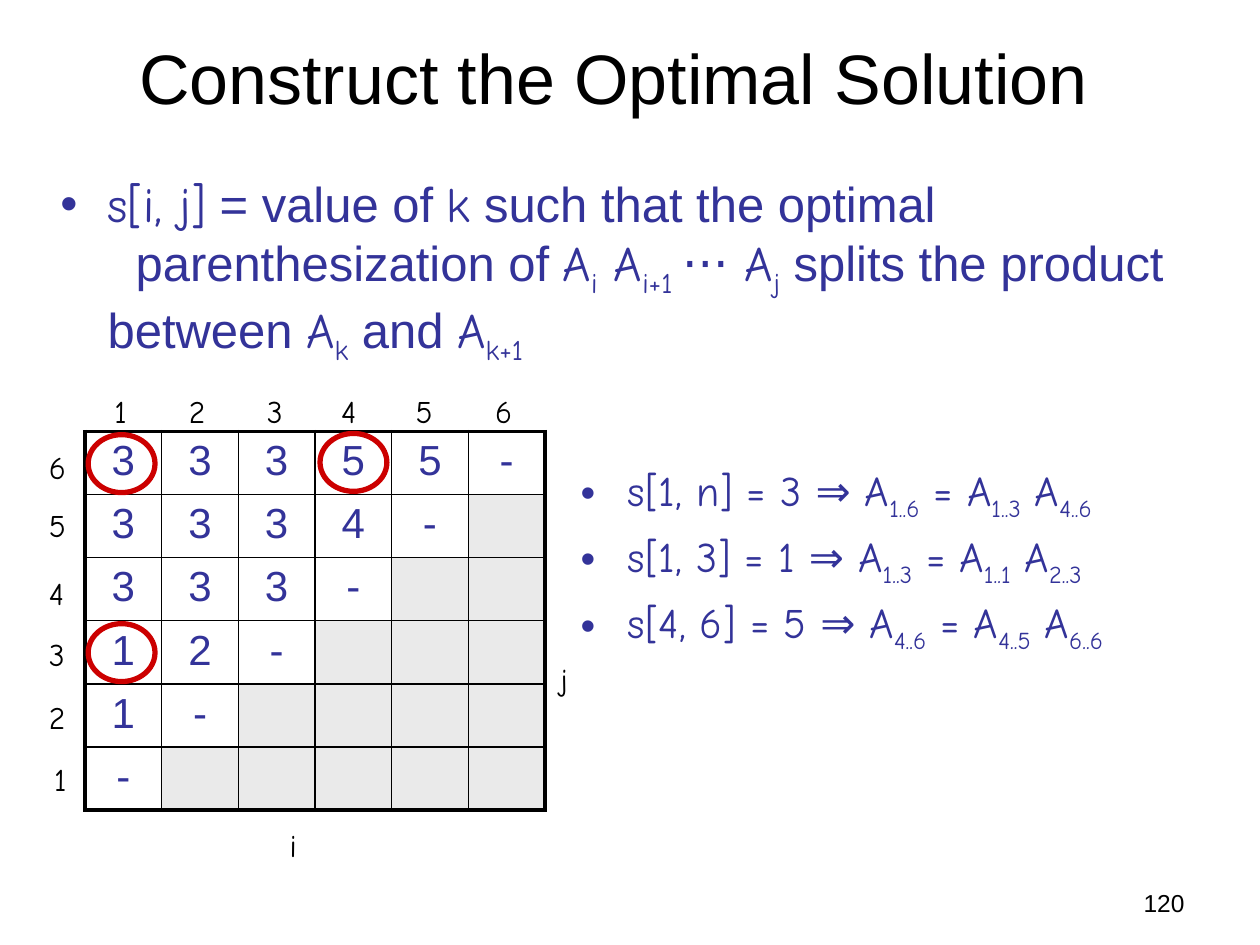
from dataclasses import dataclass

from lxml.etree import SubElement
from pptx import Presentation
from pptx.dml.color import RGBColor as RGB
from pptx.enum.shapes import MSO_SHAPE as SHAPE
from pptx.enum.text import MSO_ANCHOR as ANCHOR, PP_ALIGN as ALIGN
from pptx.oxml.ns import qn
from pptx.util import Pt


@dataclass(frozen=True)
class Theme:
    sans: str = "Arial"
    hand: str = "Comic Neue"
    black: RGB = RGB(0x00, 0x00, 0x00)
    blue: RGB = RGB(0x33, 0x33, 0x99)
    red: RGB = RGB(0xCC, 0x00, 0x00)
    gray: RGB = RGB(0xEA, 0xEA, 0xEA)
    title: int = 40
    body: int = 28
    cell: int = 24
    label: int = 18
    number: int = 14


T = Theme()
INDENT = 27
GRID_LEFT, GRID_TOP = 48.6, 246.6
COL_W, ROW_H = 43.8, 35
SPLITS = ["33355-", "3334-", "333-", "12-", "1-", "-"]
COLUMN_LEFTS = [58.3, 100.8, 145.4, 187.9, 230.4, 275.8]
ROW_TOPS = [252.7, 285.8, 324.7, 359.3, 395.3, 430.6]
DEFINITION = [
    [(T.hand, "s[i, j]"), (T.sans, " = value of "), (T.hand, "k"),
     (T.sans, " such that the optimal")],
    [(T.sans, "parenthesization of "), (T.hand, "A|i| A|i+1 |⋅⋅⋅ A|j"),
     (T.sans, " splits the product between "), (T.hand, "A|k"),
     (T.sans, " and "), (T.hand, "A|k+1")],
]
STEPS = [
    "s[1, n] = 3 ⇒ A|1..6| = A|1..3| A|4..6",
    "s[1, 3] = 1 ⇒ A|1..3| = A|1..1| A|2..3",
    "s[4, 6] = 5 ⇒ A|4..6| = A|4..5| A|6..6",
]


def style(font, name, size, color):
    font.name, font.size, font.color.rgb = name, Pt(size), color


def add_box(s, left, top, width, height, wrap=True):
    tf = s.shapes.add_textbox(Pt(left), Pt(top), Pt(width), Pt(height)).text_frame
    tf.word_wrap = wrap
    return tf


def add_text(s, text, box, name, size, align=ALIGN.LEFT, wrap=True):
    tf = add_box(s, *box, wrap=wrap)
    tf.text = text
    p = tf.paragraphs[0]
    p.alignment = align
    style(p.runs[0].font, name, size, T.black)
    return tf


def add_label(s, text, left, top):
    add_text(s, text, (left, top, 25, 29), T.hand, T.label, wrap=False)


def set_indent(p, first, bullet):
    pPr = p._p.get_or_add_pPr()
    pPr.set("marL", str(Pt(INDENT)))
    pPr.set("indent", str(Pt(first)))
    if bullet:
        SubElement(pPr, qn("a:buFont"), typeface=T.sans)
        SubElement(pPr, qn("a:buChar"), char="•")
    else:
        SubElement(pPr, qn("a:buNone"))


def add_runs(p, pieces, size):
    for name, marked in pieces:
        for n, text in enumerate(marked.split("|")):
            r = p.add_run()
            r.text = text
            style(r.font, name, size, T.blue)
            if n % 2:
                r._r.get_or_add_rPr().set("baseline", "-25000")


def add_definition(s):
    tf = add_box(s, 27.4, 95.8, 648, 119)
    first, second = tf.paragraphs[0], tf.add_paragraph()
    set_indent(first, -INDENT, True)
    set_indent(second, 16, False)
    for p, pieces in zip((first, second), DEFINITION):
        add_runs(p, pieces, T.body)


def add_steps(s):
    tf = add_box(s, 324.7, 262, 371, 171)
    for n, step in enumerate(STEPS):
        p = tf.add_paragraph() if n else tf.paragraphs[0]
        set_indent(p, -INDENT, True)
        if n:
            p.space_before = Pt(5)
        add_runs(p, [(T.hand, step)], T.cell)


def set_borders(cell, row, col, last):
    tcPr = cell._tc.get_or_add_tcPr()
    outer = {"L": col == 0, "R": col == last, "T": row == 0, "B": row == last}
    for side, thick in outer.items():
        ln = SubElement(tcPr, qn(f"a:ln{side}"), w=str(Pt(2.25 if thick else 1)))
        fill = SubElement(ln, qn("a:solidFill"))
        SubElement(fill, qn("a:srgbClr"), val=str(T.black))


def add_split_table(s):
    n = len(SPLITS)
    table = s.shapes.add_table(n, n, Pt(GRID_LEFT), Pt(GRID_TOP),
                               Pt(n * COL_W), Pt(n * ROW_H)).table
    table.first_row = table.horz_banding = False
    for col in table.columns:
        col.width = Pt(COL_W)
    for i, values in enumerate(SPLITS):
        table.rows[i].height = Pt(ROW_H)
        for j in range(n):
            cell = table.cell(i, j)
            set_borders(cell, i, j, n - 1)
            if j >= len(values):
                cell.fill.solid()
                cell.fill.fore_color.rgb = T.gray
                continue
            cell.fill.background()
            cell.text = values[j]
            p = cell.text_frame.paragraphs[0]
            p.alignment = ALIGN.CENTER
            style(p.runs[0].font, T.sans, T.cell, T.blue)


def add_ring(s, left, top):
    sp = s.shapes.add_shape(SHAPE.OVAL, Pt(left), Pt(top), Pt(38.2), Pt(33.1))
    sp.shadow.inherit = False
    sp.fill.background()
    sp.line.color.rgb = T.red
    sp.line.width = Pt(3)


def main():
    prs = Presentation()
    prs.slide_width, prs.slide_height = Pt(720), Pt(540)
    s = prs.slides.add_slide(prs.slide_layouts[6])
    add_text(s, "120", (516.2, 504, 167.8, 25.2), T.sans, T.number, ALIGN.RIGHT)
    tf = add_text(s, "Construct the Optimal Solution", (26.6, 7.9, 648, 71.3),
                  T.sans, T.title, ALIGN.CENTER)
    tf.vertical_anchor = ANCHOR.MIDDLE
    add_definition(s)
    add_split_table(s)
    for n, left in enumerate(COLUMN_LEFTS, 1):
        add_label(s, str(n), left, 220.3)
    for n, top in zip(range(6, 0, -1), ROW_TOPS):
        add_label(s, str(n), 23.8 if n == 1 else 20.9, top)
    add_label(s, "i", 158.4, 468.7)
    add_label(s, "j", 313.2, 373.7)
    add_steps(s)
    for left, top in [(50.4, 248.4), (50.4, 356.4), (182.9, 247.7)]:
        add_ring(s, left, top)
    prs.save("out.pptx")


if __name__ == "__main__":
    main()
